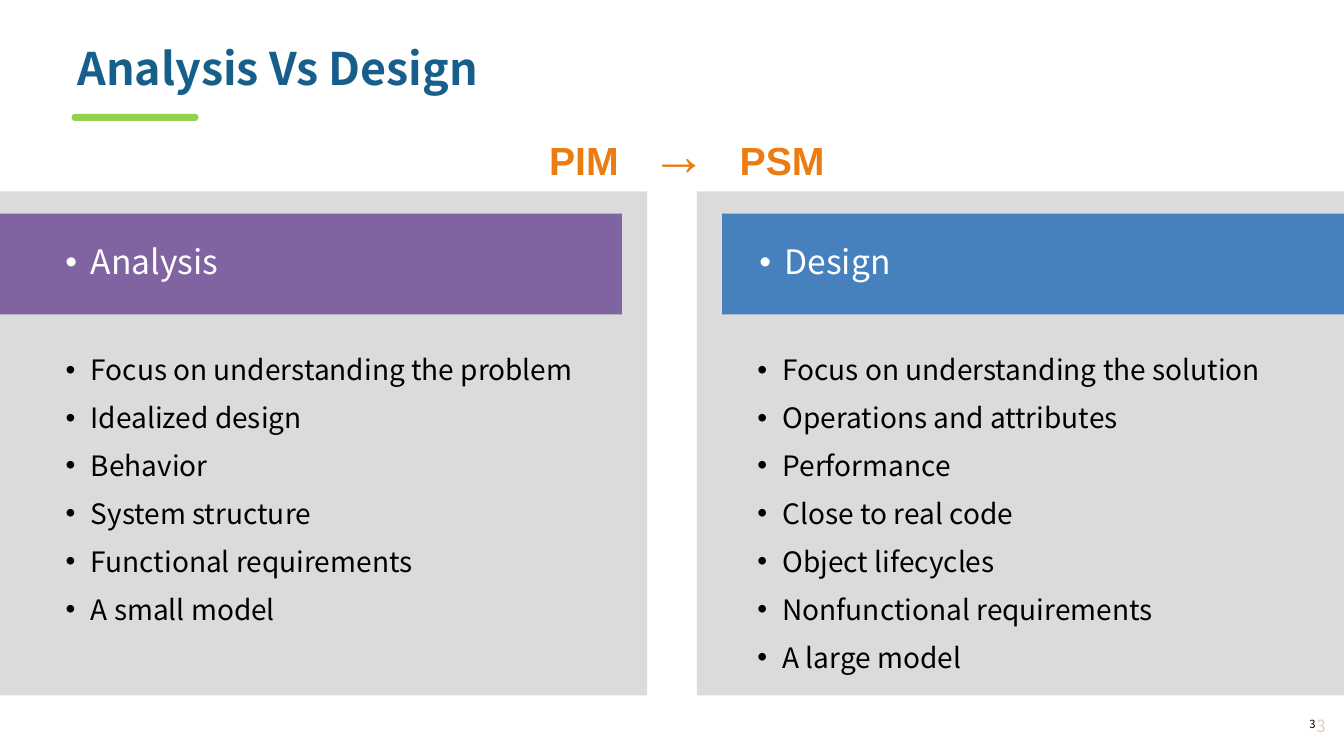
import dataclasses

import pptx
import pptx.dml.color
import pptx.enum.shapes
import pptx.enum.text
import pptx.oxml.ns
import pptx.util
from lxml import etree

SHAPES = pptx.enum.shapes.MSO_SHAPE
ALIGN = pptx.enum.text.PP_ALIGN
ANCHOR = pptx.enum.text.MSO_ANCHOR


@dataclasses.dataclass(frozen=True)
class Theme:
    body_font: str = "Noto Sans CJK SC"
    label_font: str = "Arial"
    title: str = "175F8B"
    accent: str = "92D050"
    label: str = "EB7C11"
    panel: str = "DBDBDB"
    analysis: str = "8064A2"
    design: str = "4681BD"
    dark: str = "000000"
    light: str = "FFFFFF"
    faint: str = "E0CFBD"
    title_size: int = 32
    arrow_size: int = 40
    label_size: int = 28
    heading_size: int = 24
    body_size: int = 20
    number_size: int = 12
    small_size: int = 8


COLUMNS, ROWS = 133.33, 75
PANEL_WIDTH, PANEL_TOP, PANEL_HEIGHT = 64.2, 19, 50
HEADING_WIDTH, HEADING_TOP, HEADING_HEIGHT = 61.7, 21.2, 10
INDENT = 2.5


def cells(count):
    return pptx.util.Inches(count / 10)


def color(value):
    return pptx.dml.color.RGBColor.from_string(value)


def add_property(properties, tag, **attributes):
    return etree.SubElement(properties, pptx.oxml.ns.qn(tag), **attributes)


def write_text(shape, paragraphs, *, font, size, ink, bold=False, align=ALIGN.LEFT,
               anchor=ANCHOR.TOP, inset=(1, 0.5, 1, 0.5), line=1.0, before=0,
               bullet=False, tabs=(), sizes=None):
    frame = shape.text_frame
    frame.word_wrap = True
    frame.vertical_anchor = anchor
    frame.margin_left, frame.margin_top, frame.margin_right, frame.margin_bottom = map(cells, inset)
    for index, runs in enumerate(paragraphs):
        paragraph = frame.paragraphs[0] if index == 0 else frame.add_paragraph()
        properties = paragraph._p.get_or_add_pPr()
        if bullet:
            properties.set("marL", str(cells(INDENT)))
            properties.set("indent", str(-cells(INDENT)))
            add_property(properties, "a:buFont", typeface="Arial")
            add_property(properties, "a:buChar", char="•")
        if tabs:
            stops = add_property(properties, "a:tabLst")
            for stop in tabs:
                add_property(stops, "a:tab", pos=str(cells(stop)), algn="l")
        paragraph.alignment = align
        paragraph.line_spacing = line
        paragraph.space_before = pptx.util.Pt(before if index else 0)
        for position, words in enumerate([runs] if isinstance(runs, str) else runs):
            run = paragraph.add_run()
            run.text = words
            run.font.name = font
            run.font.size = pptx.util.Pt(sizes[position] if sizes else size)
            run.font.bold = bold
            run.font.color.rgb = color(ink)


class SlideBuilder:
    def __init__(self, presentation, theme):
        self.theme = theme
        self.slide = presentation.slides.add_slide(presentation.slide_layouts[6])

    def block(self, left, top, width, height, fill, kind=SHAPES.RECTANGLE):
        shape = self.slide.shapes.add_shape(kind, *map(cells, (left, top, width, height)))
        shape.shadow.inherit = False
        shape.fill.solid()
        shape.fill.fore_color.rgb = color(fill)
        shape.line.fill.background()
        return shape

    def text(self, left, top, width, height, paragraphs, **style):
        shape = self.slide.shapes.add_textbox(*map(cells, (left, top, width, height)))
        write_text(shape, paragraphs, **{"font": self.theme.body_font, **style})

    def underline(self, left, top, width, height):
        bar = self.block(left, top, width, height, self.theme.accent, SHAPES.ROUND_2_SAME_RECTANGLE)
        bar.adjustments[0] = bar.adjustments[1] = 0.5

    def panel(self, left, items, inset_left):
        shape = self.block(left, PANEL_TOP, PANEL_WIDTH, PANEL_HEIGHT, self.theme.panel)
        write_text(shape, items, font=self.theme.body_font, size=self.theme.body_size,
                   ink=self.theme.dark, inset=(inset_left, 15, 6, 0.5), line=1.3,
                   before=3, bullet=True)

    def heading(self, left, words, fill, inset_left):
        shape = self.block(left, HEADING_TOP, HEADING_WIDTH, HEADING_HEIGHT, fill)
        write_text(shape, [words], font=self.theme.body_font, size=self.theme.heading_size,
                   ink=self.theme.light, anchor=ANCHOR.MIDDLE,
                   inset=(inset_left, 1, 5, 1), line=0.9, bullet=True)


def main():
    theme = Theme()
    presentation = pptx.Presentation()
    presentation.slide_width = cells(COLUMNS)
    presentation.slide_height = cells(ROWS)
    builder = SlideBuilder(presentation, theme)

    builder.text(125.7, 69.9, 4.8, 4, ["3"], size=theme.small_size, ink=theme.dark,
                 align=ALIGN.RIGHT, anchor=ANCHOR.MIDDLE, inset=(0, 0, 0, 0), line=0.9)
    builder.underline(7.1, 11.3, 12.6, 0.7)

    builder.panel(0, [
        "Focus on understanding the problem",
        "Idealized design",
        "Behavior",
        "System structure",
        "Functional requirements",
        "A small model",
    ], inset_left=6.5)
    builder.panel(COLUMNS - PANEL_WIDTH, [
        "Focus on understanding the solution",
        "Operations and attributes",
        "Performance",
        "Close to real code",
        "Object lifecycles",
        "Nonfunctional requirements",
        "A large model",
    ], inset_left=6)
    builder.heading(0, "Analysis", theme.analysis, inset_left=6.5)
    builder.heading(COLUMNS - HEADING_WIDTH, "Design", theme.design, inset_left=3.7)

    builder.text(6.7, 4.1, 116, 7.5, ["Analysis Vs Design"], size=theme.title_size,
                 ink=theme.title, bold=True, line=0.9)
    builder.text(53.5, 11.4, 29.6, 7.7, [["PIM\t", "→", "\tPSM"]], font=theme.label_font,
                 size=theme.label_size, ink=theme.label, bold=True, tabs=(10.1, 18.9),
                 sizes=(theme.label_size, theme.arrow_size, theme.label_size))
    builder.text(121.2, 70.1, 11.3, 3.8, ["3"], size=theme.number_size, ink=theme.faint,
                 align=ALIGN.RIGHT, anchor=ANCHOR.MIDDLE)
    presentation.save("out.pptx")


if __name__ == "__main__":
    main()
